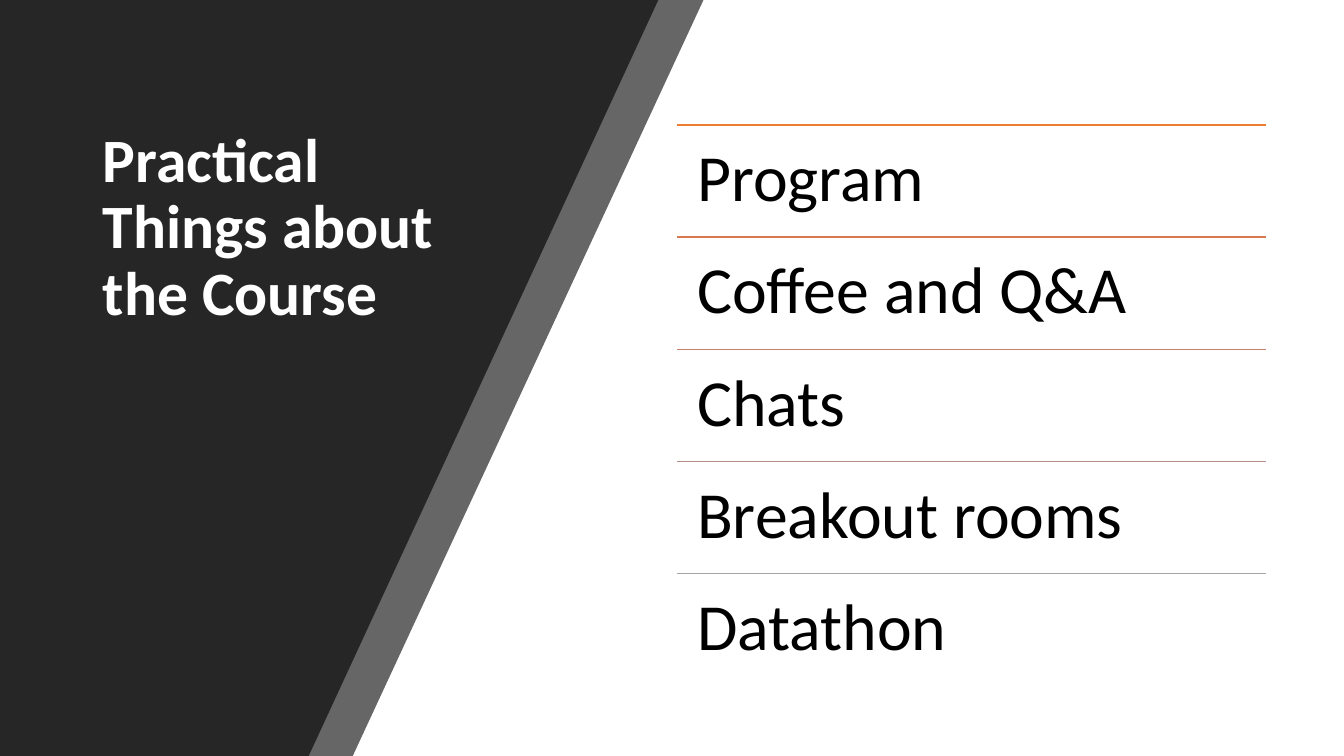
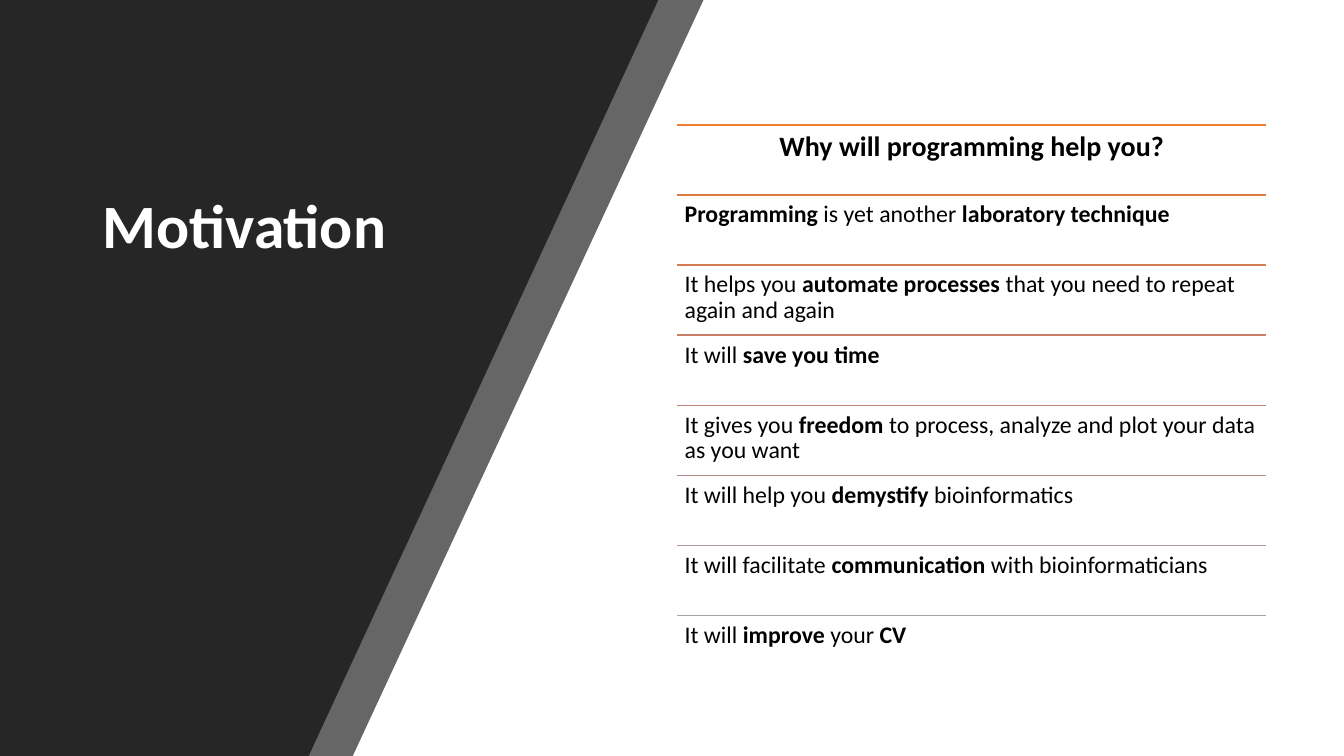
from lxml.etree import SubElement
from pptx import Presentation
from pptx.dml.color import RGBColor
from pptx.enum.shapes import MSO_CONNECTOR
from pptx.enum.text import MSO_ANCHOR, PP_ALIGN
from pptx.oxml.ns import qn
from pptx.util import Pt

PX = 9525  # EMU in one px, 96 px to the inch
SLIDE_WIDTH, SLIDE_HEIGHT = 1280, 720
TITLE_BOX = (88, 46, 344, 344)
LIST_BOX = (645, 119, 561, 534)

FONT = "Calibri"
DARK = RGBColor(0x26, 0x26, 0x26)
WHITE = RGBColor(0xFF, 0xFF, 0xFF)
BLACK = RGBColor(0x00, 0x00, 0x00)

# Rule colours fade from orange to grey down each list
AGENDA_COLORS = [RGBColor.from_string(code) for code in
                 ("ED7D31", "D87A51", "C48170", "B4908B", "A5A5A5")]
REASON_COLORS = [RGBColor.from_string(code) for code in
                 ("ED7D31", "E07A44", "D57B56", "CA7E67",
                  "BF8478", "B68D88", "AD9897", "A5A5A5")]

AGENDA = ["Program", "Coffee and Q&A", "Chats", "Breakout rooms", "Datathon"]

# Asterisks enclose the bold words
HEADING = "*Why will programming help you?*"
REASONS = [
    "*Programming* is yet another *laboratory technique*",
    "It helps you *automate processes *that you need to repeat again and again",
    "It will *save you time*",
    "It gives you *freedom* to process, analyze and plot your data as you want",
    "It will help you *demystify* bioinformatics",
    "It will facilitate *communication* with bioinformaticians",
    "It will *improve* your *CV*",
]


def add_text(slide, box, text, size, color, inset=(10, 5),
             align=PP_ALIGN.LEFT, anchor=MSO_ANCHOR.TOP):
    shape = slide.shapes.add_textbox(*(round(length * PX) for length in box))
    frame = shape.text_frame
    frame.word_wrap = True
    frame.vertical_anchor = anchor
    frame.margin_left = frame.margin_right = inset[0] * PX
    frame.margin_top = frame.margin_bottom = inset[1] * PX
    paragraph = frame.paragraphs[0]
    paragraph.alignment = align
    paragraph.line_spacing = 0.9
    for index, part in enumerate(text.split("*")):
        if part:
            run = paragraph.add_run()
            run.text = part
            run.font.name = FONT
            run.font.size = Pt(size)
            run.font.bold = index % 2 == 1
            run.font.color.rgb = color


def add_rule(slide, left, top, width, color):
    line = slide.shapes.add_connector(
        MSO_CONNECTOR.STRAIGHT, round(left * PX), round(top * PX),
        round((left + width) * PX), round(top * PX))
    line.line.color.rgb = color
    line.line.width = Pt(1)
    SubElement(line._element.spPr, qn("a:effectLst"))


def add_slanted_panel(slide, top_width, bottom_width, opacity=100):
    builder = slide.shapes.build_freeform(0, 0, scale=PX)
    builder.add_line_segments([(top_width, 0), (bottom_width, SLIDE_HEIGHT),
                               (0, SLIDE_HEIGHT)], close=True)
    shape = builder.convert_to_shape()
    shape.shadow.inherit = False
    shape.fill.solid()
    shape.fill.fore_color.rgb = DARK
    shape.line.fill.background()
    if opacity < 100:
        color = shape._element.spPr.find(qn("a:solidFill"))[0]
        SubElement(color, qn("a:alpha"), val=str(opacity * 1000))


def add_ruled_list(slide, box, rows, colors, size, inset, heading=None):
    """Stack equal rows in the box, each under its own rule."""
    left, top, width, height = box
    if heading:
        rows = [heading] + rows
    row_height = height / len(rows)
    for index, (text, color) in enumerate(zip(rows, colors)):
        row_top = top + index * row_height
        is_heading = text == heading
        add_rule(slide, left, row_top, width, color)
        add_text(slide, (left, row_top, width, row_height), text,
                 20 if is_heading else size, BLACK, (inset, inset),
                 PP_ALIGN.CENTER if is_heading else PP_ALIGN.LEFT)


def add_titled_slide(presentation, title):
    slide = presentation.slides.add_slide(presentation.slide_layouts[6])
    # Translucent band behind the solid panel
    add_slanted_panel(slide, 670, 336, opacity=70)
    add_slanted_panel(slide, 627, 294)
    add_text(slide, TITLE_BOX, f"*{title}*", 44, WHITE,
             anchor=MSO_ANCHOR.MIDDLE)
    return slide


def main():
    presentation = Presentation()
    presentation.slide_width = SLIDE_WIDTH * PX
    presentation.slide_height = SLIDE_HEIGHT * PX

    # Agenda
    slide = add_titled_slide(presentation, "Practical Things about the Course")
    add_ruled_list(slide, LIST_BOX, AGENDA, AGENDA_COLORS, 47, 19)

    # Motivation
    slide = add_titled_slide(presentation, "Motivation")
    add_ruled_list(slide, LIST_BOX, REASONS, REASON_COLORS, 17, 7, HEADING)

    presentation.save("out.pptx")


if __name__ == "__main__":
    main()
